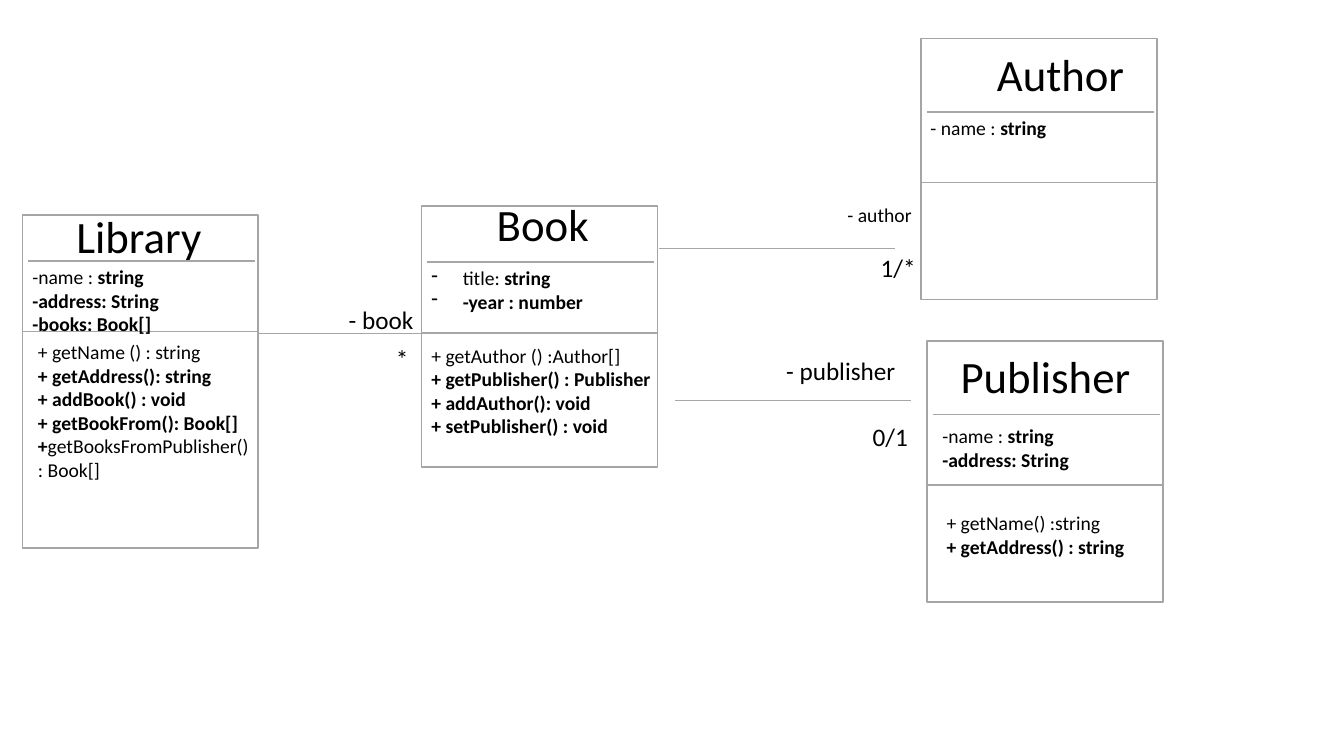
import pptx
import pptx.util
import pptx.dml.color
import pptx.enum.shapes
import pptx.enum.text
import pptx.oxml.ns
from lxml import etree

Pt = pptx.util.Pt
COLORS = {"text": "000000", "fill": "FFFFFF", "border": "A5A5A5", "rule": "A6A6A6"}
FONT = "Calibri"
CLASS_WIDTH = 168.5
ATTRIBUTES_HEIGHT = 50.5
BULLET_INDENT = 22.5

# Frames are (left, top, width, height); a line is a list of (text, bold) runs.
CLASSES = [
    {
        "name": "Library", "corner": (16, 153.5), "height": 238, "header": 33,
        "title": (47.5, 145.5, 105, 46),
        "sections": [
            ((16, 185.75, 129.5, 75), True, False, [
                [("-name : ", False), ("string", True)],
                [("-address: String", True)],
                [("-books: Book[]", True)],
            ]),
            ((20, 239.25, 165, 108.5), True, False, [
                [("+ getName () : string", False)],
                [("+ getAddress(): string", True)],
                [("+ addBook() : void", True)],
                [("+ getBookFrom(): Book[]", True)],
                [("+", True), ("getBooksFromPublisher() : Book[]", False)],
            ]),
        ],
    },
    {
        "name": "Author", "corner": (658, 27.5), "height": 186.5, "header": 52.5,
        "title": (705, 29.5, 106.5, 46),
        "sections": [
            ((657.5, 79.25, 98, 24.5), False, False, [
                [("- name : ", False), ("string", True)],
            ]),
        ],
    },
    {
        "name": "Book", "corner": (301, 147), "height": 186.5, "header": 40.25,
        "title": (347.75, 136.75, 80.5, 46),
        "sections": [
            ((301, 186.5, 124, 41), False, True, [
                [("title: ", False), ("string", True)],
                [("-year : number", True)],
            ]),
            ((301, 242, 173, 75), False, False, [
                [("+ getAuthor () :Author[]", False)],
                [("+ getPublisher() : Publisher", True)],
                [("+ addAuthor(): void", True)],
                [("+ setPublisher() : void", True)],
            ]),
        ],
    },
    {
        "name": "Publisher", "corner": (662.25, 243.5), "height": 186.5, "header": 52.5,
        "title": (679, 245.5, 137, 46),
        "sections": [
            ((666, 299.5, 129.5, 41), True, False, [
                [("-name : ", False), ("string", True)],
                [("-address: String", True)],
            ]),
            ((669, 361.5, 142.5, 41), False, False, [
                [("+ getName() :string", False)],
                [("+ getAddress() : string", True)],
            ]),
        ],
    },
]

LABELS = [
    ("- book", 18, (242, 213.75, 61, 29)),
    ("*", 18, (275.75, 242, 24, 29)),
    ("- author", 14, (598.25, 141.75, 61, 24.5)),
    ("1/*", 18, (622, 176.5, 39.5, 29)),
    ("- publisher", 18, (554.5, 250.5, 93.5, 29)),
    ("0/1", 18, (616.25, 297.25, 40.5, 29)),
]

ASSOCIATIONS = [(185, 238), (482.5, 286.25), (471, 177.5)]


def rgb(name):
    return pptx.dml.color.RGBColor.from_string(COLORS[name])


def add_rule(slide, start, end):
    rule = slide.shapes.add_connector(
        pptx.enum.shapes.MSO_CONNECTOR.STRAIGHT, *map(Pt, start + end))
    rule.line.color.rgb = rgb("rule")
    rule.line.width = Pt(1)
    etree.SubElement(rule._element.spPr, pptx.oxml.ns.qn("a:effectLst"))


def add_dash_bullet(paragraph):
    properties = paragraph._p.get_or_add_pPr()
    properties.set("marL", str(Pt(BULLET_INDENT)))
    properties.set("indent", str(-Pt(BULLET_INDENT)))
    bullet = etree.SubElement(properties, pptx.oxml.ns.qn("a:buChar"))
    bullet.set("char", "-")


def add_text(slide, frame, lines, size, wrap=False, bulleted=False):
    text_frame = slide.shapes.add_textbox(*map(Pt, frame)).text_frame
    text_frame.word_wrap = wrap
    text_frame.auto_size = pptx.enum.text.MSO_AUTO_SIZE.SHAPE_TO_FIT_TEXT
    for index, line in enumerate(lines):
        paragraph = text_frame.add_paragraph() if index else text_frame.paragraphs[0]
        if bulleted:
            add_dash_bullet(paragraph)
        for text, bold in line:
            run = paragraph.add_run()
            run.text = text
            run.font.name = FONT
            run.font.size = Pt(size)
            run.font.bold = bold
            run.font.color.rgb = rgb("text")


def add_class(slide, uml_class):
    """Draw a class box with its name, two dividing rules and member lists."""
    left, top = uml_class["corner"]
    box = slide.shapes.add_shape(
        pptx.enum.shapes.MSO_SHAPE.RECTANGLE,
        *map(Pt, (left, top, CLASS_WIDTH, uml_class["height"])))
    box.shadow.inherit = False
    box.fill.solid()
    box.fill.fore_color.rgb = rgb("fill")
    box.line.color.rgb = rgb("border")
    box.line.width = Pt(1)

    add_text(slide, uml_class["title"], [[(uml_class["name"], False)]], 32)
    header_y = top + uml_class["header"]
    members_y = header_y + ATTRIBUTES_HEIGHT
    add_rule(slide, (left + 4, header_y), (left + CLASS_WIDTH - 2, header_y))
    add_rule(slide, (left, members_y), (left + CLASS_WIDTH, members_y))
    for frame, wrap, bulleted, lines in uml_class["sections"]:
        add_text(slide, frame, lines, 14, wrap, bulleted)


def main():
    presentation = pptx.Presentation()
    presentation.slide_width = Pt(960)
    presentation.slide_height = Pt(540)
    slide = presentation.slides.add_slide(presentation.slide_layouts.get_by_name("Blank"))
    for uml_class in CLASSES:
        add_class(slide, uml_class)
    for text, size, frame in LABELS:
        add_text(slide, frame, [[(text, False)]], size)
    for left, y in ASSOCIATIONS:
        add_rule(slide, (left, y), (left + CLASS_WIDTH, y))
    presentation.save("out.pptx")


if __name__ == "__main__":
    main()
